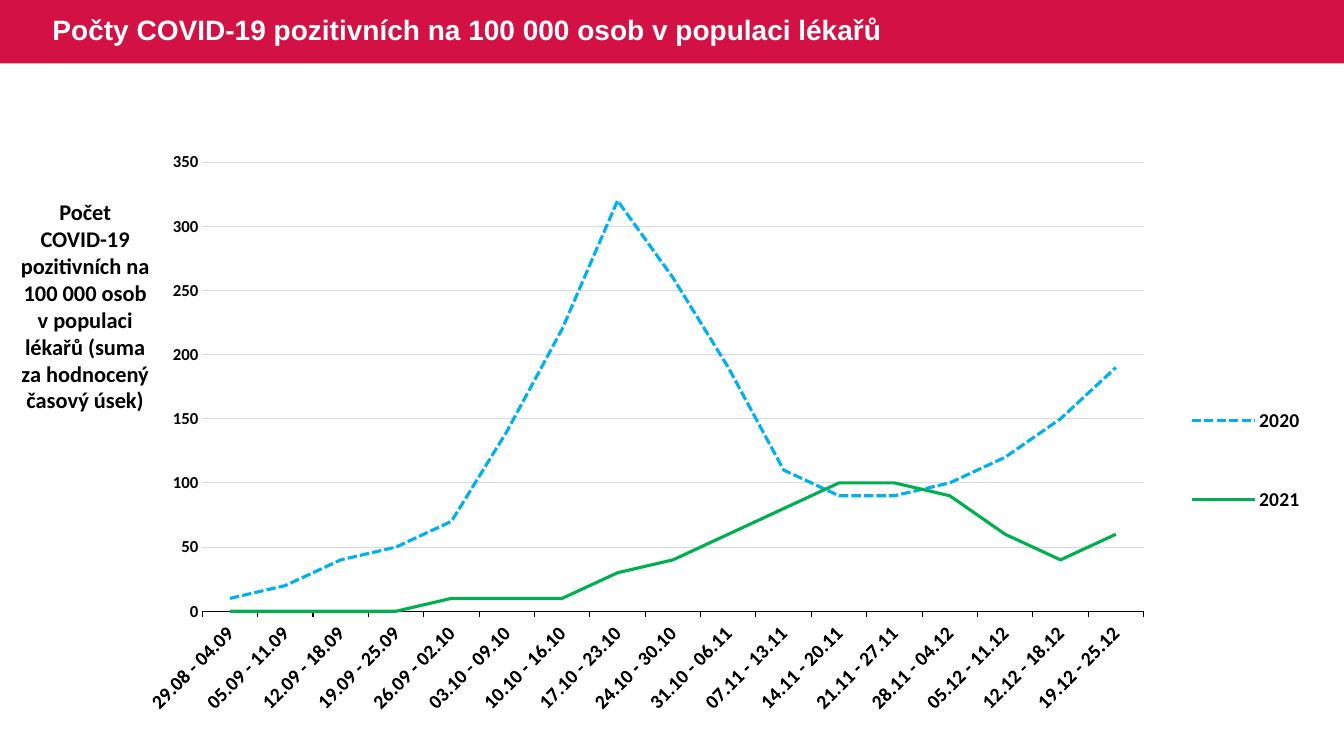
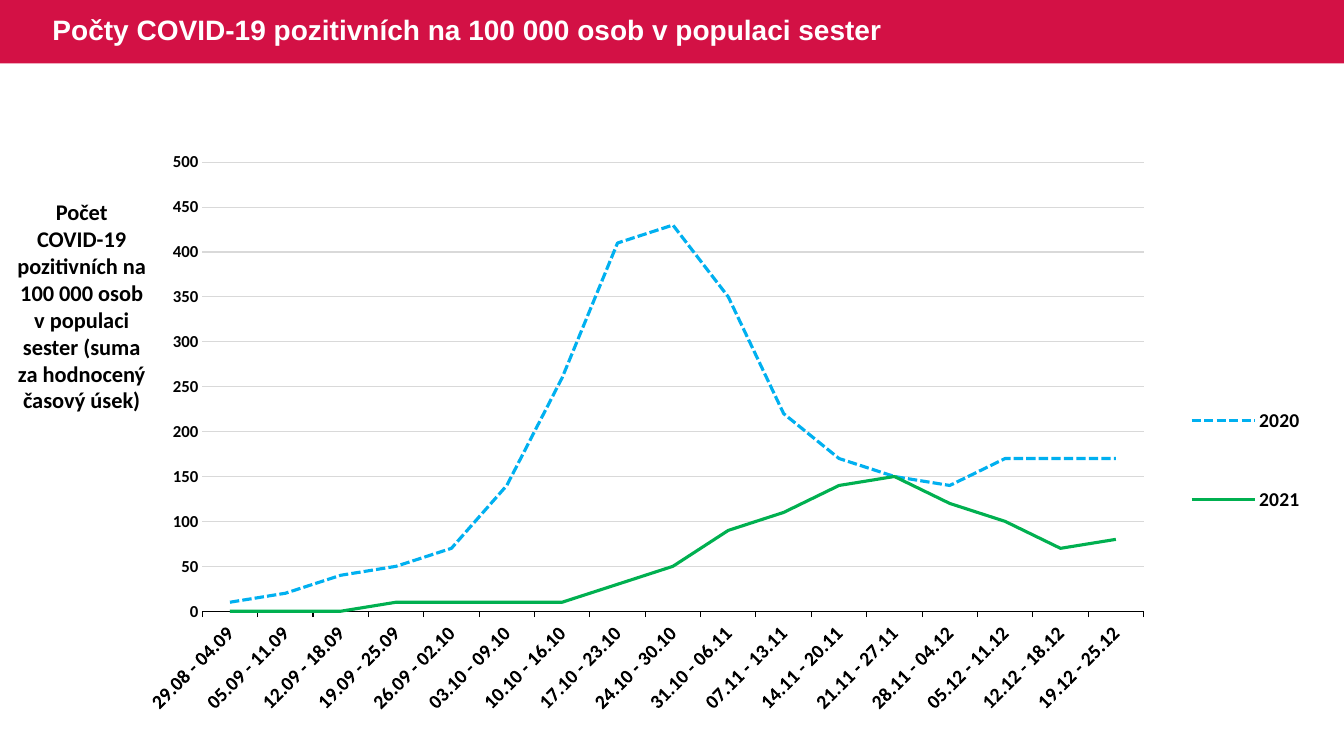
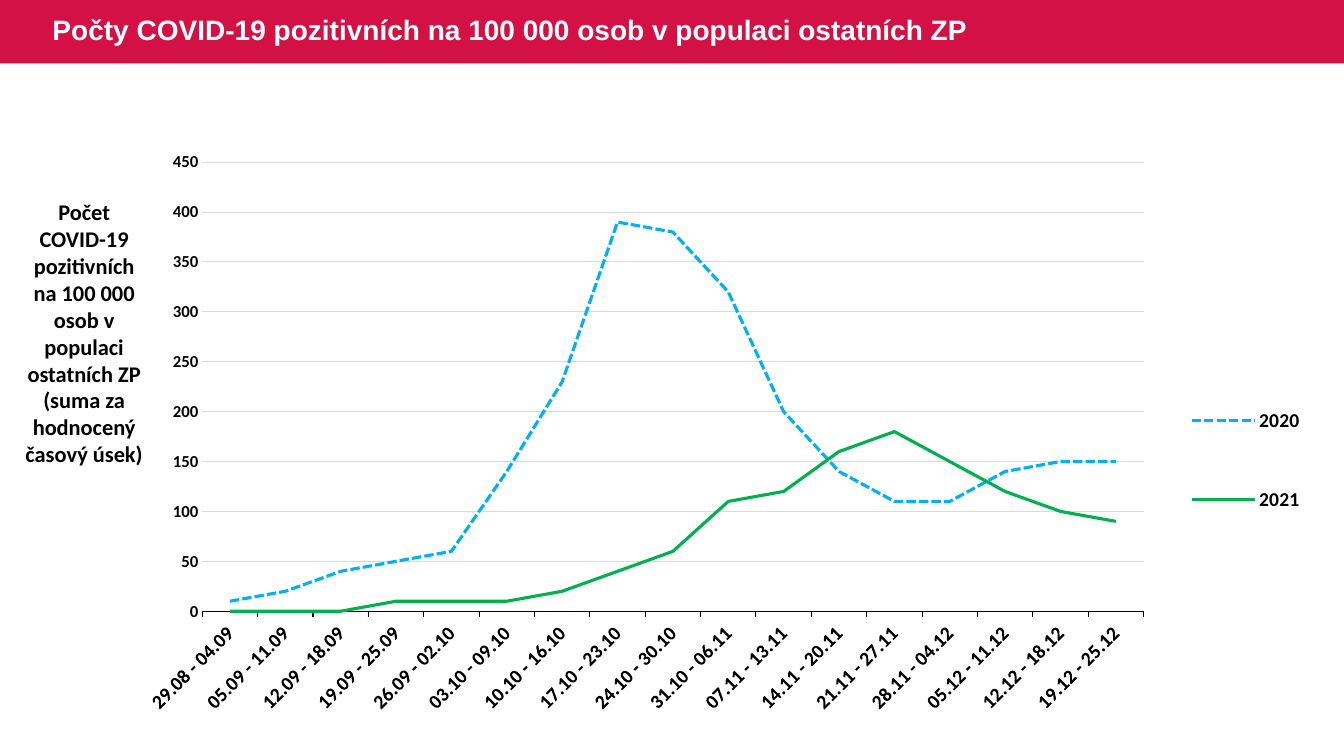
from pptx import Presentation
from pptx.chart.data import CategoryChartData
from pptx.dml.color import RGBColor
from pptx.enum.chart import XL_CHART_TYPE, XL_LEGEND_POSITION, XL_TICK_MARK
from pptx.enum.dml import MSO_LINE
from pptx.enum.shapes import MSO_SHAPE
from pptx.enum.text import MSO_ANCHOR, MSO_AUTO_SIZE, PP_ALIGN
from pptx.oxml import parse_xml
from pptx.oxml.ns import nsdecls
from pptx.util import Inches, Pt

HEX = {"band": "D31145", "white": "FFFFFF", "black": "000000",
       "grid": "D9D9D9", "2020": "00B0F0", "2021": "00B050"}
RGB = {name: RGBColor.from_string(code) for name, code in HEX.items()}

WEEKS = ["29.08 - 04.09", "05.09 - 11.09", "12.09 - 18.09", "19.09 - 25.09",
         "26.09 - 02.10", "03.10 - 09.10", "10.10 - 16.10", "17.10 - 23.10",
         "24.10 - 30.10", "31.10 - 06.11", "07.11 - 13.11", "14.11 - 20.11",
         "21.11 - 27.11", "28.11 - 04.12", "05.12 - 11.12", "12.12 - 18.12",
         "19.12 - 25.12"]

GROUPS = [
    {"who": "lékařů", "top": 350, "note": (0.06, 1.57, 2.26),
     "2020": [10, 20, 40, 50, 70, 140, 220, 320, 260, 190, 110, 90, 90, 100, 120, 150, 190],
     "2021": [0, 0, 0, 0, 10, 10, 10, 30, 40, 60, 80, 100, 100, 90, 60, 40, 60]},
    {"who": "sester", "top": 500, "note": (0.05, 1.52, 2.26),
     "2020": [10, 20, 40, 50, 70, 140, 260, 410, 430, 350, 220, 170, 150, 140, 170, 170, 170],
     "2021": [0, 0, 0, 10, 10, 10, 10, 30, 50, 90, 110, 140, 150, 120, 100, 70, 80]},
    {"who": "ostatních ZP", "top": 450, "note": (0.15, 1.37, 2.79),
     "2020": [10, 20, 40, 50, 60, 140, 230, 390, 380, 320, 200, 140, 110, 110, 140, 150, 150],
     "2021": [0, 0, 0, 10, 10, 10, 20, 40, 60, 110, 120, 160, 180, 150, 120, 100, 90]},
]


def write(frame, text, size=16, font="Calibri", color="black",
          align=PP_ALIGN.CENTER, space=None):
    frame.word_wrap = True
    para = frame.paragraphs[0]
    para.alignment = align
    para.line_spacing = space
    run = para.add_run()
    run.text = text
    run.font.size = Pt(size)
    run.font.name = font
    run.font.bold = True
    run.font.color.rgb = RGB[color]


def place(part, spot, box, inner=""):
    """Give a chart part a fixed place, as shares of the chart's size."""
    for old in part.xpath("./c:layout"):
        part.remove(old)
    sizes = "".join(f'<c:{key} val="{val}"/>' for key, val in zip("xywh", box))
    part.insert(spot, parse_xml(
        f'<c:layout {nsdecls("c")}><c:manualLayout>{inner}'
        f'<c:xMode val="edge"/><c:yMode val="edge"/>{sizes}'
        '</c:manualLayout></c:layout>'))


deck = Presentation()
deck.slide_width, deck.slide_height = Inches(13.33), Inches(7.5)
layout = deck.slide_layouts[5]
slides = [deck.slides.add_slide(layout) for _ in GROUPS]

# The band and the title's place belong to the layout
band = slides[0].shapes.add_shape(
    MSO_SHAPE.RECTANGLE, 0, 0, deck.slide_width, Inches(0.63))
band.shadow.inherit = False
band.fill.solid()
band.fill.fore_color.rgb = RGB["band"]
band.line.fill.background()
band.element.nvSpPr.cNvPr.set("id", "20")
layout.shapes.element.insert(2, band.element)

head = layout.placeholders[0]
head.left, head.top = Inches(0.42), 0
head.width, head.height = Inches(9.46), Inches(0.63)

for slide, group in zip(slides, GROUPS):
    who = group["who"]
    title = slide.shapes.title.text_frame
    title.vertical_anchor = MSO_ANCHOR.MIDDLE
    write(title, f"Počty COVID-19 pozitivních na 100 000 osob v populaci {who}",
          size=20, font="Arial", color="white", align=PP_ALIGN.LEFT, space=0.9)

    data = CategoryChartData(number_format="0")
    data.categories = WEEKS
    for year in ("2020", "2021"):
        data.add_series(year, group[year])
    chart = slide.shapes.add_chart(
        XL_CHART_TYPE.LINE, Inches(1.45), Inches(1.51),
        Inches(11.66), Inches(5.87), data).chart
    chart.has_title = False
    chart.has_legend = True
    legend = chart.legend
    legend.position = XL_LEGEND_POSITION.RIGHT
    legend.include_in_layout = False

    cat, val = chart.category_axis, chart.value_axis
    for font, size in ((chart.font, 14), (legend.font, 14),
                       (cat.tick_labels.font, 14), (val.tick_labels.font, 12)):
        font.name = "Calibri"
        font.size = Pt(size)
        font.bold = True
        font.color.rgb = RGB["black"]

    cat.major_tick_mark = XL_TICK_MARK.OUTSIDE
    cat.format.line.color.rgb = RGB["black"]
    cat.format.line.width = Pt(0.75)
    chart.element.xpath(".//c:catAx/c:txPr/a:bodyPr")[0].set("rot", "-2700000")

    val.minimum_scale, val.maximum_scale = 0, group["top"]
    val.major_unit = 50
    val.major_tick_mark = XL_TICK_MARK.NONE
    val.format.line.fill.background()
    val.has_major_gridlines = True
    grid = val.major_gridlines.format.line
    grid.color.rgb = RGB["grid"]
    grid.width = Pt(0.75)

    plot = chart.plots[0]
    plot.vary_by_categories = False
    for line in plot.series:
        line.smooth = False
        line.format.line.color.rgb = RGB[line.name]
        line.format.line.width = Pt(2.25)
    plot.series[0].format.line.dash_style = MSO_LINE.SQUARE_DOT

    place(chart.element.xpath(".//c:plotArea")[0], 0, (0.045, 0.017, 0.803, 0.759),
          inner='<c:layoutTarget val="inner"/>')
    place(chart.element.xpath(".//c:legend")[0], 1, (0.88, 0.34, 0.11, 0.36))

    left, width, height = group["note"]
    note = slide.shapes.add_textbox(
        Inches(left), Inches(1.92), Inches(width), Inches(height)).text_frame
    note.auto_size = MSO_AUTO_SIZE.SHAPE_TO_FIT_TEXT
    write(note, "Počet COVID-19 pozitivních na 100 000 osob "
                f"v populaci {who} (suma za hodnocený časový úsek)")

deck.save("out.pptx")
